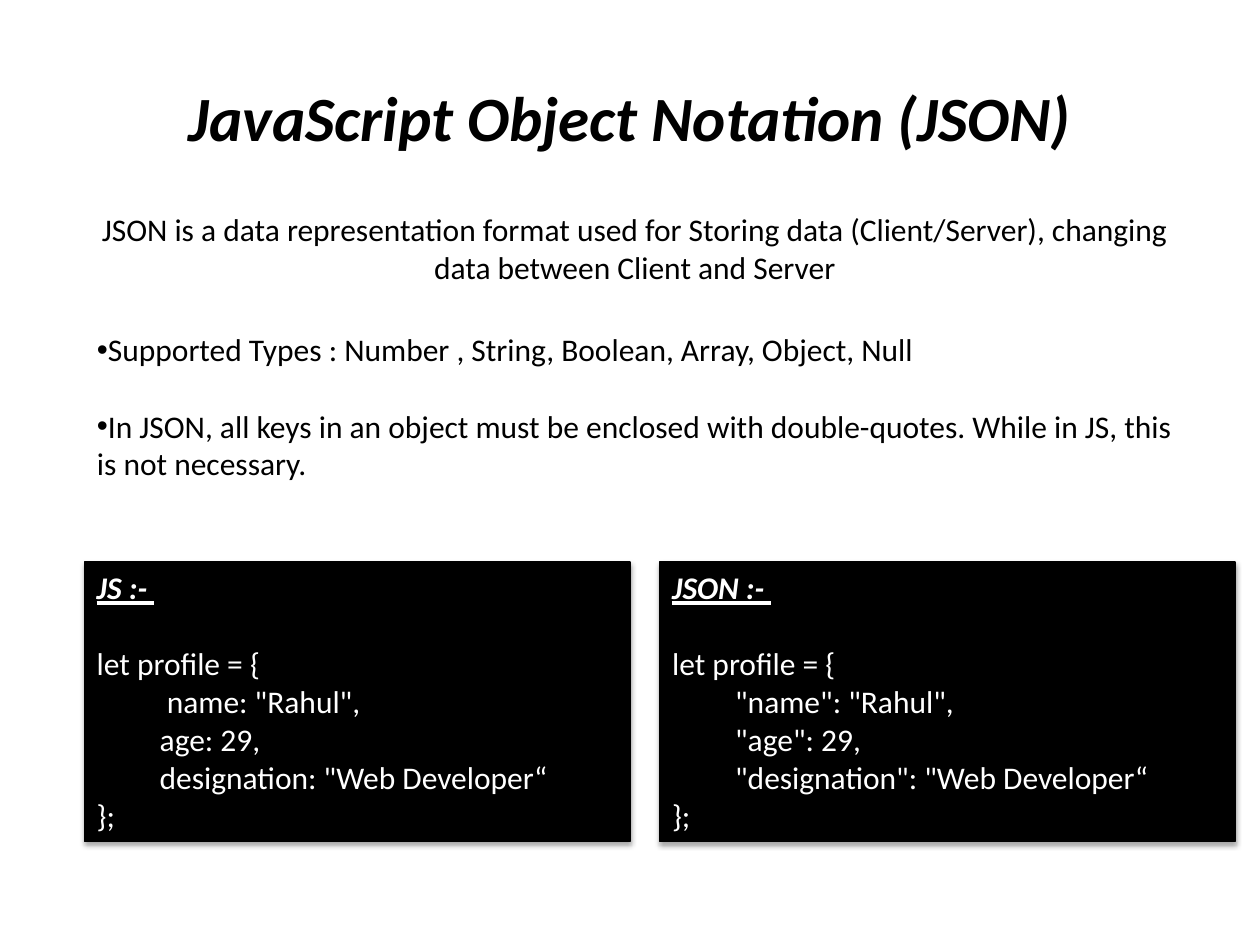
from pptx import Presentation
from pptx.dml.color import RGBColor
from pptx.enum.shapes import MSO_SHAPE
from pptx.enum.text import MSO_ANCHOR, MSO_AUTO_SIZE, PP_ALIGN
from pptx.util import Cm, Pt

BLACK = RGBColor(0, 0, 0)
WHITE = RGBColor(255, 255, 255)
FONT = "Calibri"
TEXT_SIZE = 18
LINE_GAP = Pt(22)
LEFT, TEXT_WIDTH = 1.7, 22.2
CODE_TOP, CODE_HEIGHT = 11.33, 5.64

JS_LINES = [
    "let profile = {",
    "\t name: \"Rahul\",",
    "\tage: 29,",
    "\tdesignation: \"Web Developer“",
    "};",
]
JSON_LINES = [
    "let profile = {",
    "\t\"name\": \"Rahul\",",
    "\t\"age\": 29,",
    "\t\"designation\": \"Web Developer“",
    "};",
]


def place(sp, left, top, width, height):
    sp.left, sp.top, sp.width, sp.height = map(Cm, (left, top, width, height))


def format_runs(p, size=TEXT_SIZE, color=BLACK, strong=False):
    """Style every run; strong means bold italic."""
    for r in p.runs:
        font = r.font
        font.name, font.size = FONT, Pt(size)
        font.bold = font.italic = strong
        font.color.rgb = color


def add_lines(tf, lines):
    """Fill the frame with one paragraph per line and return the paragraphs."""
    tf.text = "\n".join(lines)
    return tf.paragraphs


def set_title(slide, text):
    title = slide.shapes.title
    place(title, 1.27, 0.76, 22.86, 3.18)
    tf = title.text_frame
    tf.text = text
    tf.vertical_anchor = MSO_ANCHOR.MIDDLE
    format_runs(tf.paragraphs[0], 36, strong=True)


def add_intro(slide, text):
    sp = slide.shapes.add_textbox(Cm(LEFT), Cm(4.11), Cm(TEXT_WIDTH), Cm(1.8))
    tf = sp.text_frame
    tf.word_wrap = True
    tf.text = text
    p = tf.paragraphs[0]
    p.alignment = PP_ALIGN.CENTER
    format_runs(p)


def set_bullets(slide, items):
    body = slide.placeholders[1]
    place(body, LEFT, 6.53, TEXT_WIDTH, 4.11)
    tf = body.text_frame
    tf.auto_size = MSO_AUTO_SIZE.NONE
    for i, p in enumerate(add_lines(tf, items)):
        pPr = p._p.get_or_add_pPr()
        pPr.set("marL", "0")
        pPr.set("indent", "0")
        p.space_before = LINE_GAP if i else Pt(0)
        format_runs(p)


def add_code_panel(slide, left, width, heading, lines):
    """Black panel that keeps the soft shadow of the theme."""
    sp = slide.shapes.add_shape(MSO_SHAPE.RECTANGLE, Cm(left), Cm(CODE_TOP),
                                Cm(width), Cm(CODE_HEIGHT))
    sp.fill.solid()
    sp.fill.fore_color.rgb = BLACK
    sp.line.color.rgb = BLACK
    sp.line.width = Pt(0.75)
    tf = sp.text_frame
    tf.word_wrap = True
    tf.vertical_anchor = MSO_ANCHOR.TOP
    paragraphs = add_lines(tf, [heading, *lines])
    for i, p in enumerate(paragraphs):
        p.alignment = PP_ALIGN.LEFT
        format_runs(p, color=WHITE, strong=i == 0)
    paragraphs[0].runs[0].font.underline = True
    paragraphs[1].space_before = LINE_GAP


def main():
    prs = Presentation()
    prs.slide_width, prs.slide_height = Cm(25.4), Cm(19.05)
    slide = prs.slides.add_slide(prs.slide_layouts[1])
    set_title(slide, "JavaScript Object Notation (JSON)")
    add_intro(slide, "JSON is a data representation format used for Storing data "
                     "(Client/Server), changing data between Client and Server")
    set_bullets(slide, [
        "Supported Types : Number , String, Boolean, Array, Object, Null",
        "In JSON, all keys in an object must be enclosed with double-quotes. "
        "While in JS, this is not necessary.",
    ])
    add_code_panel(slide, LEFT, 11, "JS :- ", JS_LINES)
    add_code_panel(slide, 13.3, 11.6, "JSON :- ", JSON_LINES)
    prs.save("out.pptx")


if __name__ == "__main__":
    main()
